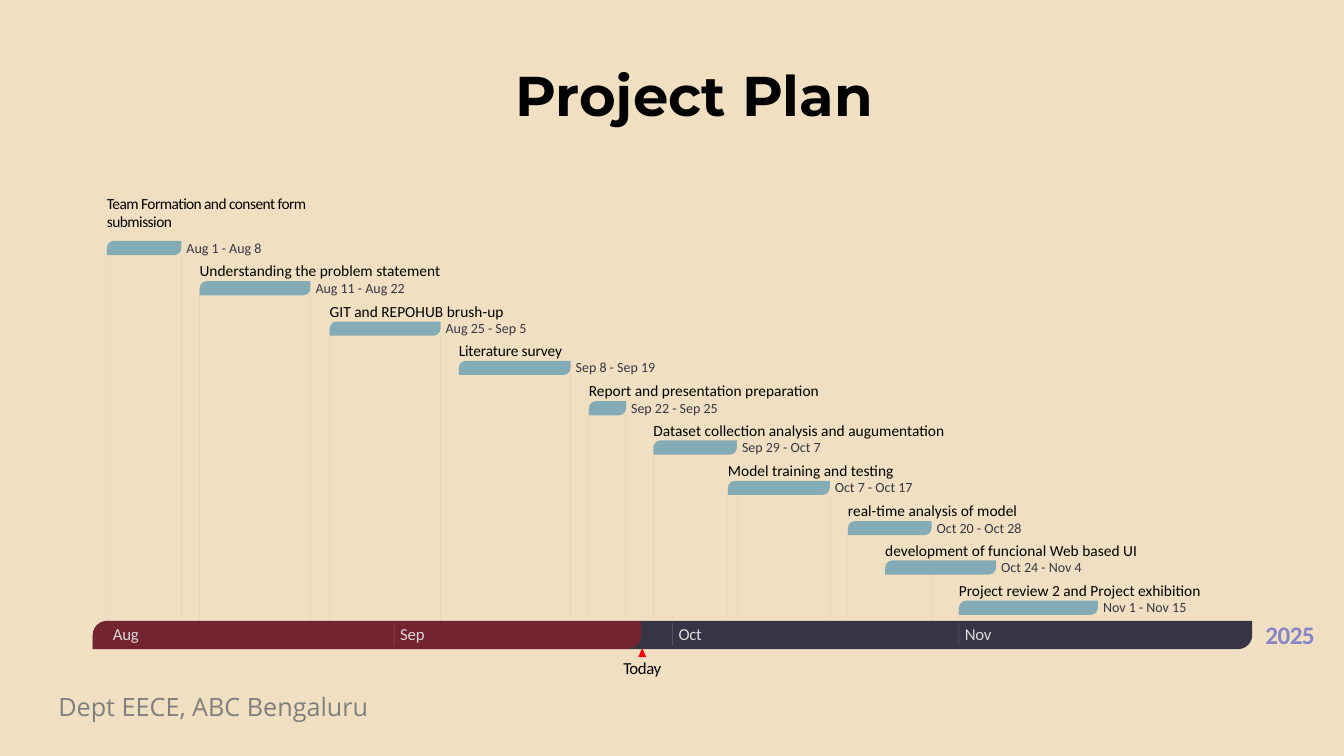
from dataclasses import dataclass

from lxml import etree
from pptx import Presentation
from pptx.dml.color import RGBColor
from pptx.enum.shapes import MSO_CONNECTOR, MSO_SHAPE
from pptx.enum.text import MSO_ANCHOR, MSO_AUTO_SIZE, PP_ALIGN
from pptx.oxml.ns import qn
from pptx.util import Pt

STRAIGHT = MSO_CONNECTOR.STRAIGHT
PILL = MSO_SHAPE.ROUND_2_DIAG_RECTANGLE
ARROW = MSO_SHAPE.ISOSCELES_TRIANGLE
MIDDLE, TOP = MSO_ANCHOR.MIDDLE, MSO_ANCHOR.TOP
LEFT, CENTER = PP_ALIGN.LEFT, PP_ALIGN.CENTER
GROW = MSO_AUTO_SIZE.SHAPE_TO_FIT_TEXT

SCALE = 9144  # EMU in one px, 100 px to the inch


@dataclass(frozen=True)
class Theme:
    paper: str = "F0E0C1"
    ink: str = "000000"
    band: str = "373545"
    bar: str = "84ACB6"
    alert: str = "FF0000"
    guide: str = "AD84C6"
    month: str = "DCD8DC"
    year: str = "8784C7"
    foot: str = "7F7F7F"
    body: str = "Calibri"
    head: str = "Montserrat"
    plain: str = "Open Sans"
    title_size: int = 40
    large: int = 18
    medium: int = 12
    small: int = 11
    tiny: int = 10


THEME = Theme()

ORIGIN, DAY = 106.3, 9.185  # left edge of Aug 1 and width of one day
FIRST, PITCH, THICK = 239.4, 39.6, 14  # top, spacing and height of the bars
AXIS, DEPTH = 616, 28
NOW = 636
MONTHS = {"Aug": 0, "Sep": 31, "Oct": 61, "Nov": 92}  # days since Aug 1

# label, first day, last day, label width, letter spacing
TASKS = [
    ("Team Formation and consent form submission", "Aug 1", "Aug 8", 218, -40),
    ("Understanding the problem statement", "Aug 11", "Aug 22", 246, 0),
    ("GIT and REPOHUB brush-up", "Aug 25", "Sep 5", 186, 0),
    ("Literature survey", "Sep 8", "Sep 19", 112, -10),
    ("Report and presentation preparation", "Sep 22", "Sep 25", 236, 0),
    ("Dataset collection analysis and augumentation", "Sep 29", "Oct 7", 297, 0),
    ("Model training and testing", "Oct 7", "Oct 17", 172, 0),
    ("real-time analysis of model", "Oct 20", "Oct 28", 175, 0),
    ("development of funcional Web based UI", "Oct 24", "Nov 4", 258, 0),
    ("Project review 2 and Project exhibition", "Nov 1", "Nov 15", 248, 0),
]


def px(*values):
    return [round(v) * SCALE for v in values]


def place(date, extra=0):
    """Horizontal position of a date, moved on by extra days."""
    month, day = date.split()
    return round(ORIGIN + DAY * (MONTHS[month] + int(day) - 1 + extra))


def fade(shape, percent):
    """Set the opacity of every colour in the shape."""
    for color in shape._element.spPr.iter(qn("a:srgbClr")):
        etree.SubElement(color, qn("a:alpha"), val=str(percent * 1000))


def add_text(slide, box, words, size, color, font=THEME.body, bold=False,
             align=LEFT, anchor=MIDDLE, pad=(0, 0), wrap=True, space=0):
    frame = slide.shapes.add_textbox(*px(*box)).text_frame
    side, edge = px(*pad)
    layout = {
        "margin_left": side, "margin_right": side,
        "margin_top": edge, "margin_bottom": edge,
        "word_wrap": wrap, "vertical_anchor": anchor, "auto_size": GROW,
    }
    for name, value in layout.items():
        setattr(frame, name, value)
    para = frame.paragraphs[0]
    para.alignment = align
    run = para.add_run()
    run.text = words
    for name, value in {"name": font, "size": Pt(size), "bold": bold}.items():
        setattr(run.font, name, value)
    run.font.color.rgb = RGBColor.from_string(color)
    if space:
        run._r.get_or_add_rPr().set("spc", str(space))


def add_block(slide, kind, box, color, opacity=100):
    shape = slide.shapes.add_shape(kind, *px(*box))
    shape.shadow.inherit = False
    shape.fill.solid()
    shape.fill.fore_color.rgb = RGBColor.from_string(color)
    shape.line.fill.background()
    if kind == PILL:
        shape.adjustments[0], shape.adjustments[1] = 1, 0
    if opacity < 100:
        fade(shape, opacity)


def add_rule(slide, x, top, bottom, color, opacity):
    """Draw a faint vertical line."""
    line = slide.shapes.add_connector(STRAIGHT, *px(x, top, x, bottom))
    line.line.width = Pt(0.33)
    line.line.color.rgb = RGBColor.from_string(color)
    fade(line, opacity)
    etree.SubElement(line._element.spPr, qn("a:effectLst"))


def row_top(row):
    return round(FIRST + PITCH * row)


def add_guides(slide):
    """Drop lines from the bar ends to the axis, starting below any bar in the way."""
    for row, (_, start, end, _, _) in enumerate(TASKS):
        add_rule(slide, place(start), row_top(row) + THICK // 2, AXIS,
                 THEME.guide, 20)
        if row < len(TASKS) - 2:
            x = place(end, 1)
            hidden = place(TASKS[row + 1][1]) < x
            add_rule(slide, x, row_top(row + hidden) + THICK, AXIS,
                     THEME.guide, 20)


def add_axis(slide):
    left = 92
    add_block(slide, PILL, (left, AXIS, 1150, DEPTH), THEME.band)
    add_block(slide, PILL, (left, AXIS, NOW - left, DEPTH), THEME.alert, 30)
    add_block(slide, ARROW, (NOW - 3, 643, 8, 9), THEME.alert)
    add_text(slide, (NOW - 19, 653, 40, 20), "Today", THEME.medium, THEME.ink,
             align=CENTER, wrap=False, space=-30)
    for month, days in MONTHS.items():
        x = place(f"{month} 1")
        add_text(slide, (x + 6, 619, 36, 20), month, THEME.medium, THEME.month,
                 space=-20)
        if days:
            add_rule(slide, x, 618, 641, THEME.month, 30)
    add_text(slide, (1255, 614, 49, 31), "2025", THEME.large, THEME.year,
             bold=True, align=CENTER, wrap=False, space=-40)


def add_task(slide, row, task):
    label, start, end, width, space = task
    left, right, top = place(start), place(end, 1), row_top(row)
    add_block(slide, PILL, (left, top, right - left, THICK), THEME.bar)
    rise, height = (20, 19) if row else (47, 37)
    add_text(slide, (left, top - rise, width, height), label, THEME.small,
             THEME.ink, space=space)
    dates = f"{start} - {end}"
    add_text(slide, (right + 5, top - 2, 6.6 * len(dates), 17), dates,
             THEME.tiny, THEME.band)


def main():
    deck = Presentation()
    deck.slide_width, deck.slide_height = px(1333, 750)
    slide = deck.slides.add_slide(deck.slide_layouts[6])
    slide.background.fill.solid()
    slide.background.fill.fore_color.rgb = RGBColor.from_string(THEME.paper)

    add_text(slide, (48, 681, 524, 40), "Dept EECE, ABC Bengaluru", THEME.large,
             THEME.foot, font=THEME.plain, anchor=TOP, pad=(10, 5))
    add_guides(slide)
    add_axis(slide)
    for row, task in enumerate(TASKS):
        add_task(slide, row, task)
    add_text(slide, (292, 55, 793, 77), "Project Plan", THEME.title_size,
             THEME.ink, font=THEME.head, bold=True, align=CENTER, anchor=TOP,
             pad=(10, 5))
    deck.save("out.pptx")


if __name__ == "__main__":
    main()
